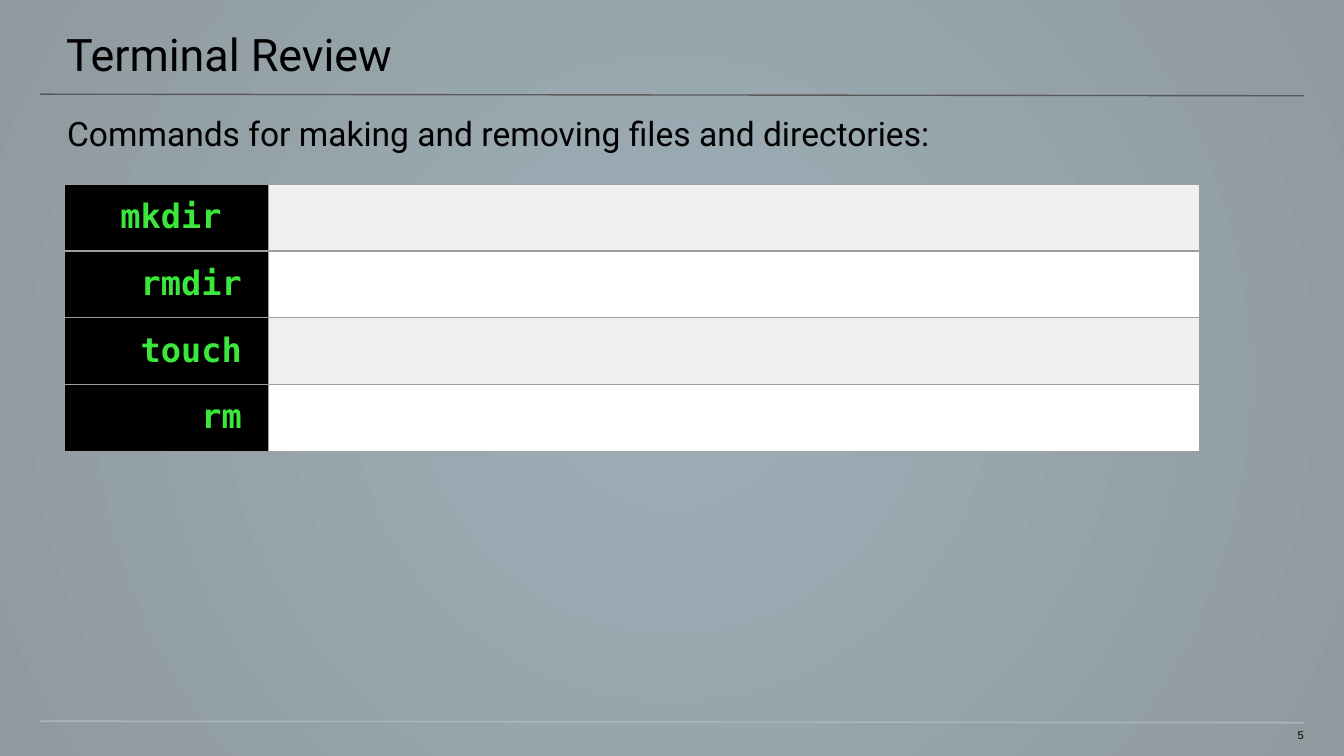
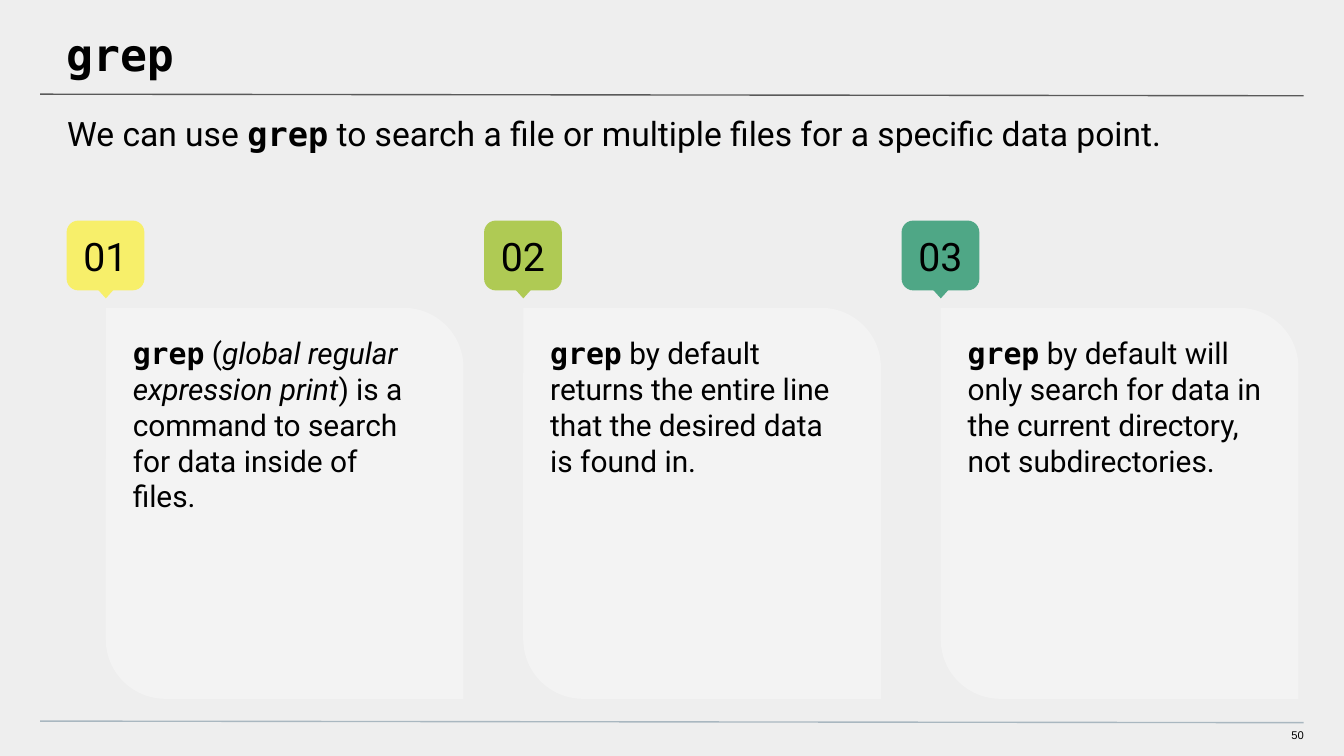
from lxml.etree import SubElement
from pptx import Presentation
from pptx.dml.color import RGBColor
from pptx.enum.shapes import MSO_CONNECTOR as CONN, MSO_SHAPE as SHAPE
from pptx.enum.text import MSO_ANCHOR as ANCHOR, PP_ALIGN as ALIGN
from pptx.oxml import parse_xml
from pptx.oxml.ns import nsdecls, qn
from pptx.util import Cm, Pt

# Content: text is a list of (words, style) runs
TERMINAL = {
    "title": [("Terminal Review", "plain")],
    "subtitle": [("Commands for making and removing files and directories:", "plain")],
    "number": "5",
}
COMMANDS = ["mkdir ", "rmdir", "touch", "rm"]

GREP = {
    "title": [("grep", "code")],
    "subtitle": [
        ("We can use ", "plain"),
        ("grep", "code"),
        (" to search a file or multiple files for a specific data point.", "plain"),
    ],
    "number": "50",
}
# Badge, colour, text width in cm, runs
CARDS = [
    ("01", "yellow", 6.27, [
        ("grep", "code"),
        (" (", "plain"),
        ("global regular expression print", "italic"),
        (") is a command to search for data inside of files.", "plain"),
    ]),
    ("02", "lime", 6.58, [
        ("grep", "code"),
        (" by default returns the entire line that the desired data is found in.", "plain"),
    ]),
    ("03", "green", 6.58, [
        ("grep", "code"),
        (" by default will only search for data in the current directory, "
         "not subdirectories.", "plain"),
    ]),
]

# Shared look
COLORS = {
    "text": "000000", "rule": "595959", "footer": "A9B7C0",
    "center": "9EAFB8", "edge": "8F9A9F", "page": "EEEEEE",
    "terminal": "000000", "prompt": "3BE73B", "border": "9E9E9E",
    "odd": "EFEFEF", "even": "FFFFFF", "card": "F3F3F3",
    "yellow": "F7EF6A", "lime": "AFCA54", "green": "4FA786",
}
STYLES = {  # font, bold, italic
    "plain": ("Roboto", False, False),
    "italic": ("Roboto", False, True),
    "code": ("DejaVu Sans Mono", True, False),
    "number": ("Arial", False, False),
}
WIDTH, HEIGHT = 25.4, 14.29
CARD_LEFT, CARD_TOP, CARD_PITCH = 2.0, 5.82, 7.89
BADGE_SHIFT, BADGE_TOP = 0.74, 4.17


def rgb(name):
    return RGBColor.from_string(COLORS[name])


def write(tf, runs, size, color="text", align=ALIGN.LEFT, after=0):
    p = tf.paragraphs[0]
    p.alignment = align
    p.space_after = Pt(after)
    for words, style in runs:
        r = p.add_run()
        r.text = words
        r.font.name, r.font.bold, r.font.italic = STYLES[style]
        r.font.size = Pt(size)
        r.font.color.rgb = rgb(color)


def set_margins(target, left, top, right, bottom):
    target.margin_left, target.margin_top = Cm(left), Cm(top)
    target.margin_right, target.margin_bottom = Cm(right), Cm(bottom)


def add_text(s, box, margins, runs, size, **fmt):
    tf = s.shapes.add_textbox(*map(Cm, box)).text_frame
    tf.word_wrap = True
    set_margins(tf, *margins)
    write(tf, runs, size, **fmt)


def add_block(shapes, kind, box, color, adjust=()):
    sp = shapes.add_shape(kind, *map(Cm, box))
    sp.shadow.inherit = False
    sp.fill.solid()
    sp.fill.fore_color.rgb = rgb(color)
    sp.line.fill.background()
    for i, value in enumerate(adjust):
        sp.adjustments[i] = value
    return sp


def add_rule(s, top, color):
    line = s.shapes.add_connector(CONN.STRAIGHT, Cm(0.76), Cm(top),
                                  Cm(WIDTH - 0.76), Cm(top + 0.03))
    line.line.color.rgb = rgb(color)
    line.line.width = Pt(0.75)
    SubElement(line._element.spPr, qn("a:effectLst"))


def add_frame(prs, content):
    """Add a slide with its rules, title, subtitle and number."""
    s = prs.slides.add_slide(prs.slide_layouts[6])
    add_rule(s, 1.78, "rule")
    add_rule(s, 13.63, "footer")
    add_text(s, (0, 0, WIDTH, 1.47), (1.25, 0.51, 0.76, 0.25), content["title"], 24)
    add_text(s, (0, 1.88, WIDTH, 1.02), (1.27, 0.25, 1.27, 0), content["subtitle"], 18)
    add_text(s, (23.9, 13.77, 0.74, 0.3), (0, 0, 0, 0.25),
             [(content["number"], "number")], 6, align=ALIGN.RIGHT)
    return s


def set_radial_background(s):
    fill = s.background.fill
    fill.gradient()
    for stop, color in zip(fill.gradient_stops, ("center", "edge")):
        stop.color.rgb = rgb(color)
    grad = s.element.find(".//" + qn("a:gradFill"))
    grad.remove(grad.find(qn("a:lin")))
    grad.append(parse_xml(
        f'<a:path {nsdecls("a")} path="circle">'
        '<a:fillToRect l="50000" t="50000" r="50000" b="50000"/></a:path>'))


def style_cell(cell, color):
    cell.fill.solid()
    cell.fill.fore_color.rgb = rgb(color)
    tc_pr = cell._tc.get_or_add_tcPr()
    for i, side in enumerate("LRTB"):
        tc_pr.insert(i, parse_xml(
            f'<a:ln{side} {nsdecls("a")} w="{Pt(0.75)}"><a:solidFill>'
            f'<a:srgbClr val="{COLORS["border"]}"/></a:solidFill></a:ln{side}>'))


def add_commands(s):
    row_height, widths = 1.24, (3.86, 17.6)
    table = s.shapes.add_table(len(COMMANDS), 2, Cm(1.22), Cm(3.48), Cm(sum(widths)),
                               Cm(row_height * len(COMMANDS))).table
    for column, width in zip(table.columns, widths):
        column.width = Cm(width)
    for i, command in enumerate(COMMANDS):
        table.rows[i].height = Cm(row_height)
        name, answer = table.cell(i, 0), table.cell(i, 1)
        style_cell(name, "terminal")
        style_cell(answer, "even" if i % 2 else "odd")
        set_margins(name, 0.51, 0.25, 0.51, 0.25)
        write(name.text_frame, [(command, "code")], 18, color="prompt", align=ALIGN.RIGHT)


def add_badge(s, left, label, color):
    shapes = s.shapes.add_group_shape().shapes
    sp = add_block(shapes, SHAPE.ROUNDED_RECTANGLE, (left, BADGE_TOP, 1.47, 1.32),
                   color, (0.167,))
    tf = sp.text_frame
    tf.vertical_anchor = ANCHOR.MIDDLE
    set_margins(tf, 0.25, 0.25, 0.25, 0.25)
    write(tf, [(label, "plain")], 21, align=ALIGN.CENTER)
    pointer = add_block(shapes, SHAPE.FLOWCHART_EXTRACT,
                        (left + 0.37, BADGE_TOP + 1.06, 0.74, 0.41), color)
    pointer.rotation = 180


def add_cards(s):
    for i, (label, color, text_width, runs) in enumerate(CARDS):
        left = CARD_LEFT + i * CARD_PITCH
        add_badge(s, left - BADGE_SHIFT, label, color)
        add_block(s.shapes, SHAPE.ROUND_2_DIAG_RECTANGLE,
                  (left, CARD_TOP, 6.76, 7.39), "card", (0, 0.167))
        add_text(s, (left, CARD_TOP, text_width, 7.39), (0.51,) * 4, runs, 16, after=8)


def main():
    prs = Presentation()
    prs.slide_width, prs.slide_height = Cm(WIDTH), Cm(HEIGHT)

    # Terminal commands
    s = add_frame(prs, TERMINAL)
    set_radial_background(s)
    add_commands(s)

    # Facts about grep
    s = add_frame(prs, GREP)
    s.background.fill.solid()
    s.background.fill.fore_color.rgb = rgb("page")
    add_cards(s)

    prs.save("out.pptx")


if __name__ == "__main__":
    main()
